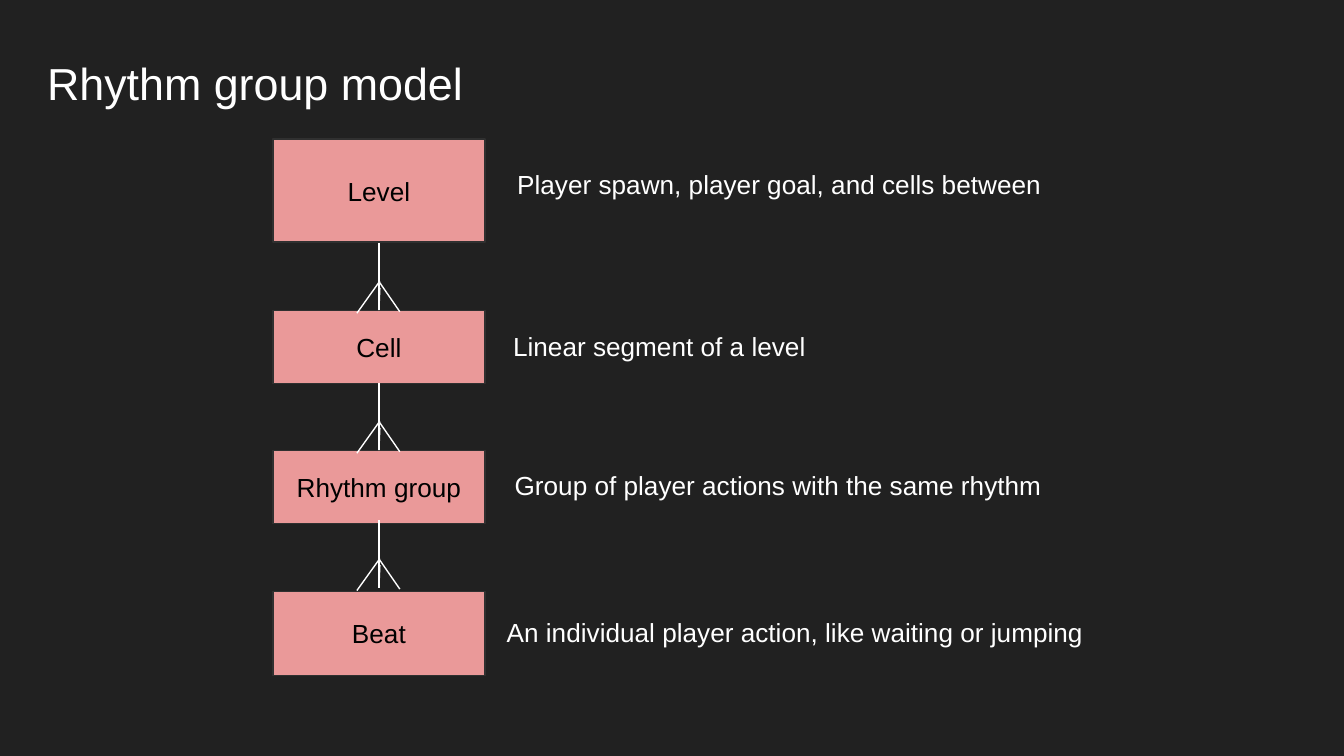
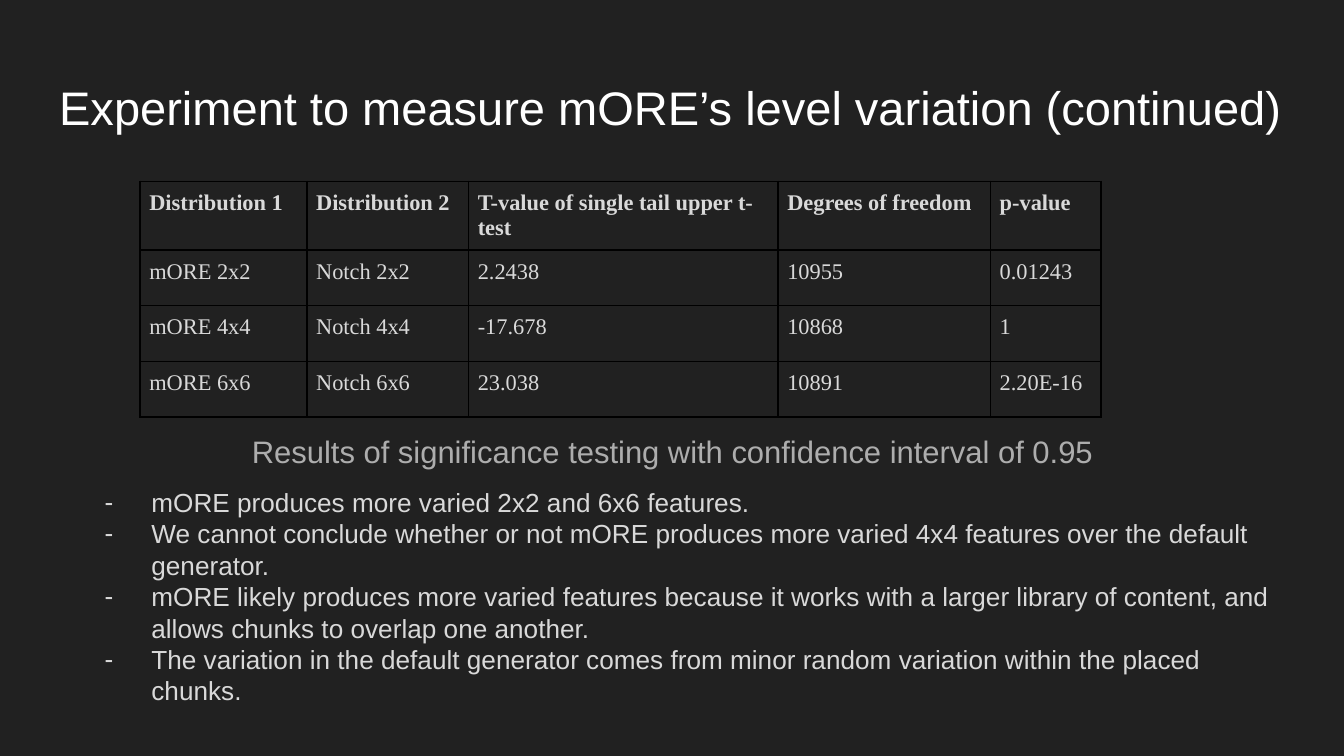
from lxml import etree
from pptx import Presentation
from pptx import util as u
from pptx.dml import color
from pptx.enum import shapes, text
from pptx.oxml import ns

Pt = u.Pt
COLORS = {
    "background": "212121",
    "box": "EA9999",
    "outline": "303030",
    "white": "FFFFFF",
    "black": "000000",
    "caption": "ADADAD",
    "body": "D9D9D9",
}


def rgb(name):
    return color.RGBColor.from_string(COLORS[name])


def set_all(target, values):
    for name, value in values.items():
        setattr(target, name, value)


def add_node(parent, tag, **attributes):
    return etree.SubElement(parent, ns.qn(tag), **attributes)


class Deck:
    inset = 7.2
    line_width = 0.75
    font = "Arial"
    table_font = "Times New Roman"

    def __init__(self, width, height):
        self.prs = Presentation()
        set_all(self.prs, {"slide_width": Pt(width), "slide_height": Pt(height)})
        fill = self.prs.slide_master.background.fill
        fill.solid()
        fill.fore_color.rgb = rgb("background")
        self.slide = None

    def start_slide(self, title, place, size):
        self.slide = self.prs.slides.add_slide(self.prs.slide_layouts.get_by_name("Title Only"))
        heading = self.slide.shapes.title
        for side, length in zip(("left", "top", "width", "height"), place):
            setattr(heading, side, Pt(length))
        self.fill_text(heading.text_frame, [title], size, "white")

    def fill_text(self, frame, lines, size, tone, font=None, bold=False, inset=None,
                  anchor=text.MSO_ANCHOR.TOP, bullet=None, **paragraph_format):
        margin = Pt(self.inset if inset is None else inset)
        set_all(frame, {
            "word_wrap": True, "auto_size": text.MSO_AUTO_SIZE.NONE, "vertical_anchor": anchor,
            "margin_left": margin, "margin_right": margin,
            "margin_top": margin, "margin_bottom": margin,
        })
        for index, line in enumerate(lines):
            paragraph = frame.add_paragraph() if index else frame.paragraphs[0]
            set_all(paragraph, {"alignment": text.PP_ALIGN.LEFT, **paragraph_format})
            if bullet:
                self.add_bullet(paragraph, bullet, tone)
            run = paragraph.add_run()
            run.text = line
            set_all(run.font, {"name": font or self.font, "size": Pt(size), "bold": bold})
            run.font.color.rgb = rgb(tone)

    def add_bullet(self, paragraph, mark, tone):
        properties = paragraph._p.get_or_add_pPr()
        properties.set("marL", str(Pt(36)))
        properties.set("indent", str(Pt(-25)))
        add_node(add_node(properties, "a:buClr"), "a:srgbClr", val=COLORS[tone])
        add_node(properties, "a:buFont", typeface=self.font)
        add_node(properties, "a:buChar", char=mark)

    def add_text(self, lines, place, size, tone, **options):
        box = self.slide.shapes.add_textbox(*map(Pt, place))
        self.fill_text(box.text_frame, lines, size, tone, **options)

    def add_box(self, label, place):
        box = self.slide.shapes.add_shape(shapes.MSO_SHAPE.RECTANGLE, *map(Pt, place))
        box.shadow.inherit = False
        box.fill.solid()
        box.fill.fore_color.rgb = rgb("box")
        box.line.color.rgb = rgb("outline")
        box.line.width = Pt(self.line_width)
        self.fill_text(box.text_frame, [label], 14, "black", anchor=text.MSO_ANCHOR.MIDDLE,
                       alignment=text.PP_ALIGN.CENTER)

    def add_line(self, *ends):
        line = self.slide.shapes.add_connector(shapes.MSO_CONNECTOR.STRAIGHT, *map(Pt, ends))
        line.line.color.rgb = rgb("white")
        line.line.width = Pt(self.line_width)
        add_node(line._element.spPr, "a:effectLst")

    def add_crow_foot(self, x, y):
        strokes = [(0, 0, 0, 36), (0.5, 24, 0, 36), (-11.8, 37.6, 0.5, 20.4), (11.2, 36.8, 0, 20.6)]
        for x1, y1, x2, y2 in strokes:
            self.add_line(x + x1, y + y1, x + x2, y + y2)

    def add_table(self, rows, left, top, widths, row_height):
        table = self.slide.shapes.add_table(
            len(rows), len(widths), Pt(left), Pt(top), Pt(sum(widths)), Pt(row_height * len(rows))
        ).table
        set_all(table, {"first_row": False, "horz_banding": False})
        for column, width in zip(table.columns, widths):
            column.width = Pt(width)
        for row_index, row in enumerate(rows):
            table.rows[row_index].height = Pt(row_height)
            for column_index, value in enumerate(row):
                self.fill_cell(table.cell(row_index, column_index), value, row_index == 0)

    def fill_cell(self, cell, value, bold):
        margin = 5
        self.fill_text(cell.text_frame, [value], 12, "body", font=self.table_font, bold=bold,
                       inset=margin)
        set_all(cell, {f"margin_{side}": Pt(margin) for side in ("left", "right", "top", "bottom")})
        cell.vertical_anchor = text.MSO_ANCHOR.TOP
        properties = cell._tc.get_or_add_tcPr()
        for side in "LRTB":
            border = add_node(properties, f"a:ln{side}", w=str(Pt(1)))
            add_node(add_node(border, "a:solidFill"), "a:srgbClr", val=COLORS["black"])
        cell.fill.background()


def build_model(deck):
    deck.start_slide("Rhythm group model", (18, 22.4, 536, 44), 24)
    left, width = 146.2, 113.6
    levels = [
        ("Level", 74.4, 55.4, "Player spawn, player goal, and cells between", 270, 82.8),
        ("Cell", 166.4, 39.2, "Linear segment of a level", 267.8, 170),
        ("Rhythm group", 241.4, 39.2, "Group of player actions with the same rhythm", 268.6, 244),
        ("Beat", 316.8, 45, "An individual player action, like waiting or jumping", 264.4, 323),
    ]
    for name, top, height, meaning, meaning_left, meaning_top in levels:
        deck.add_box(name, (left, top, width, height))
        deck.add_text([meaning], (meaning_left, meaning_top, 333, 31.6), 14, "white")
    for top in (130.2, 205.2, 278.8):
        deck.add_crow_foot(left + width / 2, top)


def build_experiment(deck):
    deck.start_slide("Experiment to measure mORE’s level variation (continued)",
                     (24.5, 35, 671, 45.4), 25.2)
    deck.add_text(["Results of significance testing with confidence interval of 0.95"],
                  (24.5, 226, 671, 34.6), 16.6, "caption",
                  alignment=text.PP_ALIGN.CENTER, line_spacing=0.95, space_after=Pt(12))
    results = [
        ("Distribution 1", "Distribution 2", "T-value of single tail upper t-test",
         "Degrees of freedom", "p-value"),
        ("mORE 2x2", "Notch 2x2", "2.2438", "10955", "0.01243"),
        ("mORE 4x4", "Notch 4x4", "-17.678", "10868", "1"),
        ("mORE 6x6", "Notch 6x6", "23.038", "10891", "2.20E-16"),
    ]
    deck.add_table(results, 75, 97.2, (89.4, 86.6, 165.8, 113.8, 59.4), 29.9)
    findings = [
        "mORE produces more varied 2x2 and 6x6 features.",
        "We cannot conclude whether or not mORE produces more varied 4x4 features over the "
        "default generator.",
        "mORE likely produces more varied features because it works with a larger library of "
        "content, and allows chunks to overlap one another.",
        "The variation in the default generator comes from minor random variation within the "
        "placed chunks.",
    ]
    deck.add_text(findings, (38, 253.4, 657.6, 133), 14, "body", bullet="-")


def main():
    deck = Deck(720, 405)
    build_model(deck)
    build_experiment(deck)
    deck.prs.save("out.pptx")


if __name__ == "__main__":
    main()
